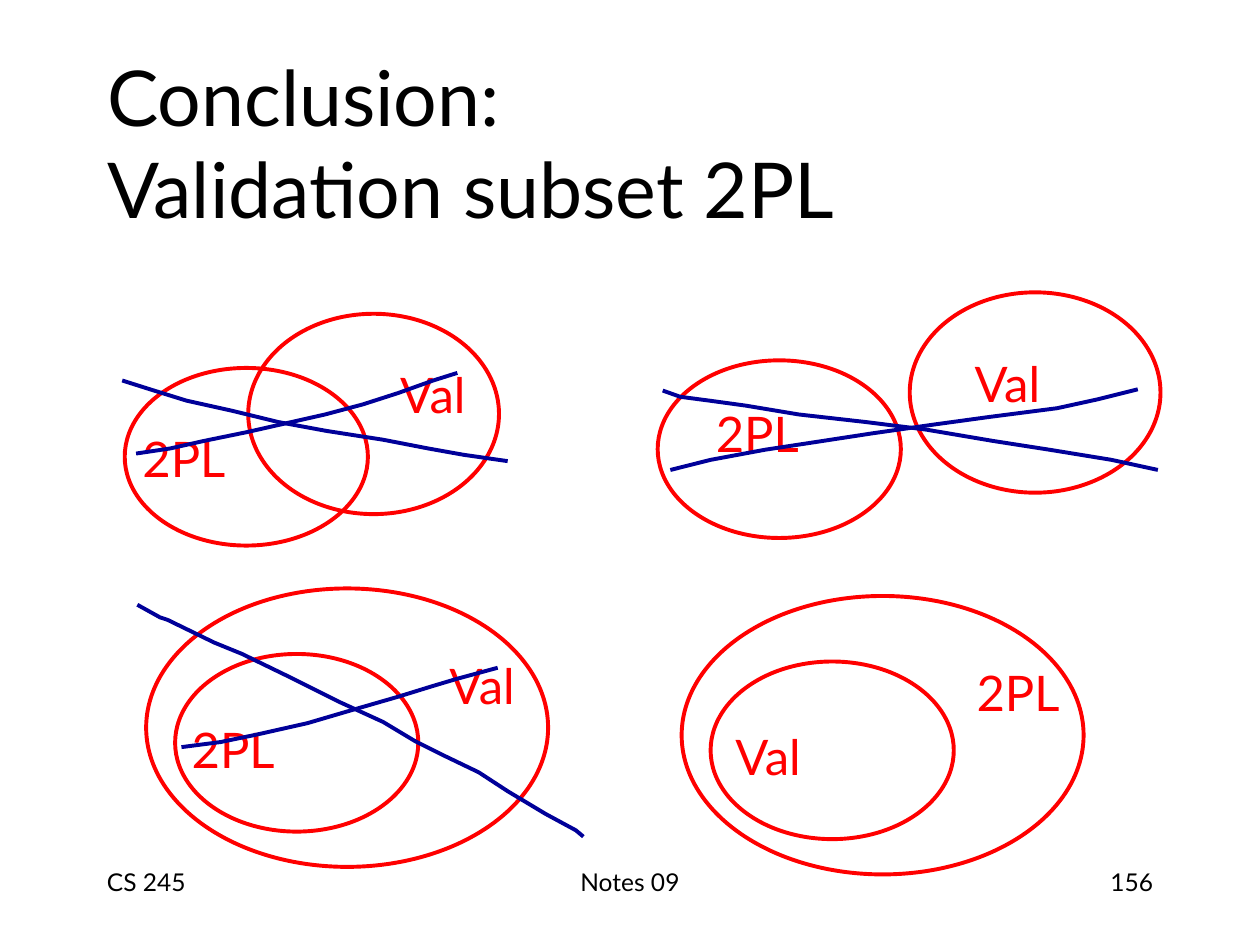
from pptx import Presentation
from pptx.dml.color import RGBColor
from pptx.enum.shapes import MSO_SHAPE
from pptx.enum.text import MSO_ANCHOR, PP_ALIGN
from pptx.util import Inches, Pt

FONT = "Lato"
COLORS = {"text": "000000", "set": "FF0000", "strike": "000099"}
SMALL, MEDIUM, LARGE = (1.93, 1.41), (1.99, 1.59), (3.19, 2.21)
LABEL_WIDTHS = {"2PL": 0.86, "Val": 0.75}

VENNS = [
    {
        "box": (0.97, 2.49),
        "sets": [(0.02, 0.43, SMALL), (1, 0, MEDIUM)],
        "labels": [("2PL", 0.06, 0.86), ("Val", 2.09, 0.35)],
        "strikes": [
            [(2.66, 0.47), (2.47, 0.53), (2.19, 0.63), (1.91, 0.72), (1.61, 0.8),
             (1.3, 0.87), (0.99, 0.94), (0.65, 1.01), (0.38, 1.07), (0.11, 1.11)],
            [(0, 0.53), (0.22, 0.6), (0.51, 0.69), (0.87, 0.77), (1.24, 0.86),
             (1.62, 0.93), (2.07, 1), (2.43, 1.07), (2.71, 1.12), (3.06, 1.17)],
        ],
    },
    {
        "box": (5.22, 2.32),
        "sets": [(0, 0.54, SMALL), (2, 0, MEDIUM)],
        "labels": [("2PL", 0.36, 0.83), ("Val", 2.4, 0.44)],
        "strikes": [
            [(0.04, 0.78), (0.18, 0.83), (0.41, 0.86), (0.7, 0.9), (1.12, 0.97),
             (1.65, 1.03), (2.13, 1.09), (2.66, 1.18), (3.11, 1.25), (3.6, 1.33),
             (3.97, 1.41)],
            [(0.1, 1.41), (0.42, 1.33), (0.85, 1.25), (1.31, 1.18), (1.7, 1.12),
             (2.19, 1.05), (2.63, 0.99), (3.17, 0.92), (3.49, 0.85), (3.81, 0.77)],
        ],
    },
    {
        "box": (1.16, 4.67),
        "sets": [(0.23, 0.52, SMALL), (0, 0, LARGE)],
        "labels": [("2PL", 0.26, 0.99), ("Val", 2.29, 0.48)],
        "strikes": [
            [(2.79, 0.63), (2.46, 0.72), (2.26, 0.78), (2, 0.86), (1.62, 0.97),
             (1.28, 1.07), (0.88, 1.16), (0.59, 1.22), (0.28, 1.26)],
            [(-0.07, 0.13), (0.11, 0.23), (0.17, 0.25), (0.54, 0.43), (0.76, 0.52),
             (1.11, 0.69), (1.53, 0.9), (1.88, 1.06), (2.13, 1.21), (2.37, 1.33),
             (2.64, 1.46), (2.87, 1.61), (3.17, 1.79), (3.41, 1.92), (3.47, 1.97)],
        ],
    },
    {
        "box": (5.41, 4.73),
        "sets": [(0.23, 0.52, SMALL), (0, 0, LARGE)],
        "labels": [("Val", 0.31, 0.99), ("2PL", 2.24, 0.48)],
        "strikes": [],
    },
]


def style_text(paragraph, size, color, align=PP_ALIGN.LEFT):
    paragraph.alignment = align
    paragraph.font.name = FONT
    paragraph.font.size = Pt(size)
    paragraph.font.color.rgb = RGBColor.from_string(COLORS[color])


def style_outline(outline, color):
    outline.shadow.inherit = False
    outline.fill.background()
    outline.line.color.rgb = RGBColor.from_string(COLORS[color])
    outline.line.width = Pt(2.25)


def add_text(slide, text, box, size, color, align, wrap=True):
    frame = slide.shapes.add_textbox(*map(Inches, box)).text_frame
    frame.word_wrap = wrap
    frame.text = text
    style_text(frame.paragraphs[0], size, color, align)


def place_title(slide, box):
    title = slide.shapes.title
    title.left, title.top, title.width, title.height = map(Inches, box)
    frame = title.text_frame
    frame.vertical_anchor = MSO_ANCHOR.MIDDLE
    frame.text = "Conclusion:\vValidation subset 2PL"
    style_text(frame.paragraphs[0], 44, "text")


def add_footer(slide, box):
    left, top, width, height = box
    side, middle = 2.08, 3.17
    parts = [
        ("CS 245", left, side, PP_ALIGN.LEFT),
        ("Notes 09", left + (width - middle) / 2, middle, PP_ALIGN.CENTER),
        ("156", left + width - side, side, PP_ALIGN.RIGHT),
    ]
    for text, x, part_width, align in parts:
        add_text(slide, text, (x, top, part_width, height), 14, "text", align)


def add_venn(slide, box, sets, labels, strikes):
    left, top = box
    for x, y, size in sets:
        ellipse = slide.shapes.add_shape(
            MSO_SHAPE.OVAL, *map(Inches, (left + x, top + y, *size)))
        style_outline(ellipse, "set")
    for text, x, y in labels:
        label_box = (left + x, top + y, LABEL_WIDTHS[text], 0.57)
        add_text(slide, text, label_box, 28, "set", PP_ALIGN.CENTER, wrap=False)
    for strike in strikes:
        start, *rest = [(Inches(left + x), Inches(top + y)) for x, y in strike]
        builder = slide.shapes.build_freeform(*start)
        builder.add_line_segments(rest, close=False)
        style_outline(builder.convert_to_shape(), "strike")


def main():
    deck = Presentation()
    deck.slide_width, deck.slide_height = Inches(10), Inches(7.5)
    slide = deck.slides.add_slide(deck.slide_layouts[5])
    place_title(slide, (0.75, 0.5, 8.5, 1.25))
    add_footer(slide, (0.75, 6.83, 8.5, 0.5))
    for venn in VENNS:
        add_venn(slide, **venn)
    deck.save("out.pptx")


if __name__ == "__main__":
    main()
